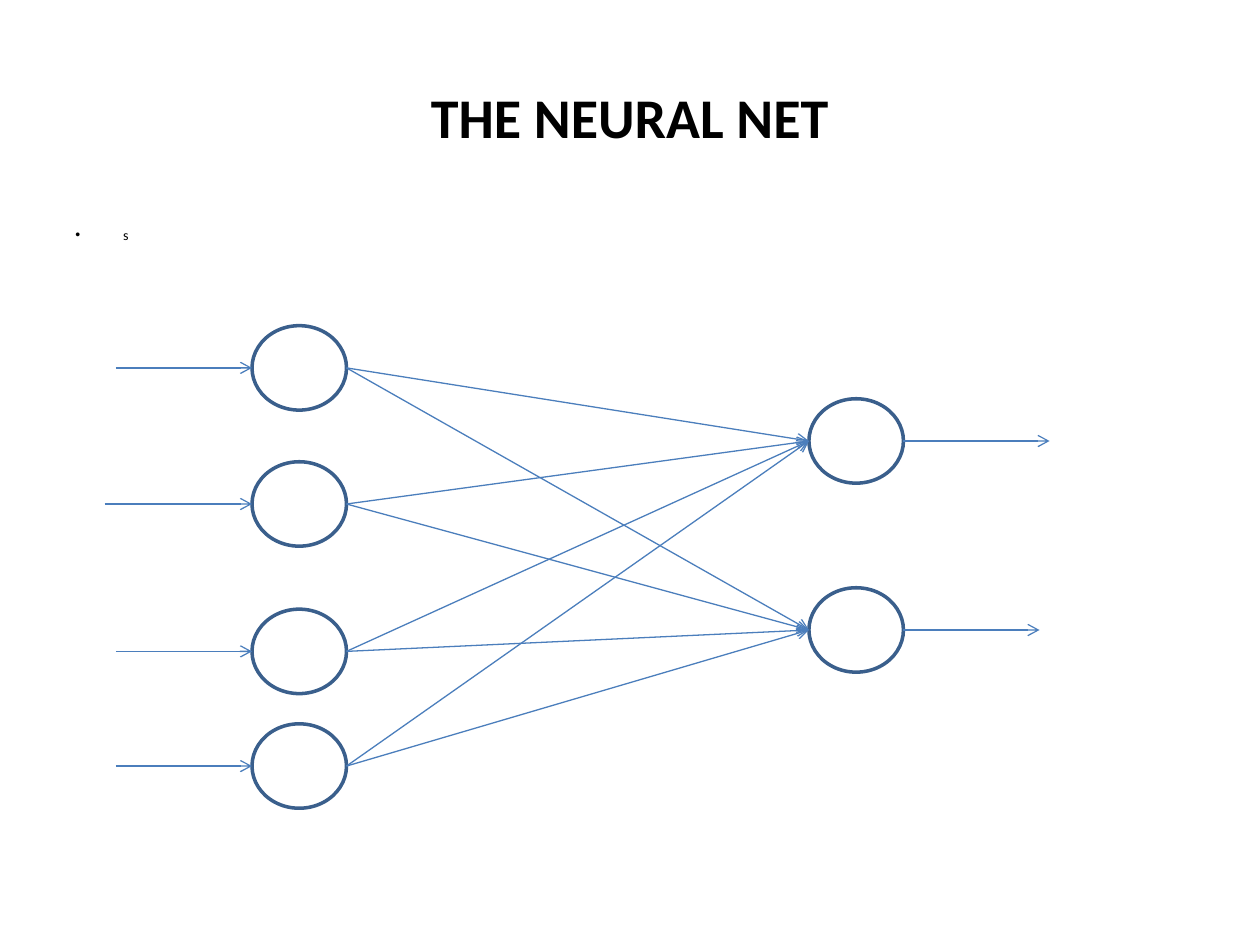
from lxml import etree
from pptx import Presentation
from pptx.dml.color import RGBColor
from pptx.enum.shapes import MSO_CONNECTOR, MSO_SHAPE
from pptx.enum.text import MSO_ANCHOR, PP_ALIGN
from pptx.oxml.ns import qn
from pptx.util import Inches, Pt

OVAL, STRAIGHT = MSO_SHAPE.OVAL, MSO_CONNECTOR.STRAIGHT
TOP, MIDDLE = MSO_ANCHOR.TOP, MSO_ANCHOR.MIDDLE
LEFT, CENTER = PP_ALIGN.LEFT, PP_ALIGN.CENTER

BLACK = RGBColor(0x00, 0x00, 0x00)
NODE_BLUE = RGBColor(0x3A, 0x5F, 0x8C)
ARROW_BLUE = RGBColor(0x4B, 0x7E, 0xBC)

# Neurons: left edge of each layer, vertical centres, outer arrow ends
NODE_W, NODE_H = 0.75, 0.67
INPUT_X, OUTPUT_X = 2, 6.42
INPUTS = [(2.92, 0.92), (4, 0.83), (5.17, 0.92), (6.08, 0.92)]
OUTPUTS = [(3.5, 8.33), (5, 8.25)]

TITLE_FONT = {"name": "Calibri", "size": Pt(32), "bold": True}
BODY_FONT = {"name": "Calibri", "size": Pt(8)}


def add_text(slide, text, box, font, anchor=TOP, align=LEFT, bullet_indent=None):
    tf = slide.shapes.add_textbox(*map(Inches, box)).text_frame
    tf.word_wrap = True
    tf.vertical_anchor = anchor
    p = tf.paragraphs[0]
    p.alignment = align
    if bullet_indent:
        pPr = p._p.get_or_add_pPr()
        pPr.set("marL", str(Inches(bullet_indent)))
        pPr.set("indent", str(-Inches(bullet_indent)))
        etree.SubElement(pPr, qn("a:buFont"), typeface="Arial")
        etree.SubElement(pPr, qn("a:buChar"), char="•")
    r = p.add_run()
    r.text = text
    for key, value in font.items():
        setattr(r.font, key, value)
    r.font.color.rgb = BLACK


def add_neuron(slide, x, center_y):
    sp = slide.shapes.add_shape(OVAL, Inches(x), Inches(center_y - NODE_H / 2),
                                Inches(NODE_W), Inches(NODE_H))
    sp.shadow.inherit = False
    sp.fill.background()
    sp.line.color.rgb = NODE_BLUE
    sp.line.width = Pt(2)


def add_arrow(slide, x1, y1, x2, y2):
    line = slide.shapes.add_connector(STRAIGHT, *map(Inches, (x1, y1, x2, y2)))
    line.line.color.rgb = ARROW_BLUE
    line.line.width = Pt(0.75)
    etree.SubElement(line.line._get_or_add_ln(), qn("a:tailEnd"), type="arrow")
    etree.SubElement(line._element.spPr, qn("a:effectLst"))


def main():
    prs = Presentation()
    prs.slide_width, prs.slide_height = Inches(10), Inches(7.5)
    slide = prs.slides.add_slide(prs.slide_layouts[6])

    # Title and body
    add_text(slide, "THE NEURAL NET", (0.5, 0.3, 9, 1.25), TITLE_FONT,
             anchor=MIDDLE, align=CENTER)
    add_text(slide, "s", (0.5, 1.75, 9, 4.95), BODY_FONT, bullet_indent=0.38)

    # Neurons of both layers
    for x, layer in ((INPUT_X, INPUTS), (OUTPUT_X, OUTPUTS)):
        for y, _ in layer:
            add_neuron(slide, x, y)

    # Every input feeds every output
    for y_in, _ in INPUTS:
        for y_out, _ in OUTPUTS:
            add_arrow(slide, INPUT_X + NODE_W, y_in, OUTPUT_X, y_out)

    # Signals entering and leaving the net
    for y, start in INPUTS:
        add_arrow(slide, start, y, INPUT_X, y)
    for y, end in OUTPUTS:
        add_arrow(slide, OUTPUT_X + NODE_W, y, end, y)

    prs.save("out.pptx")


if __name__ == "__main__":
    main()
